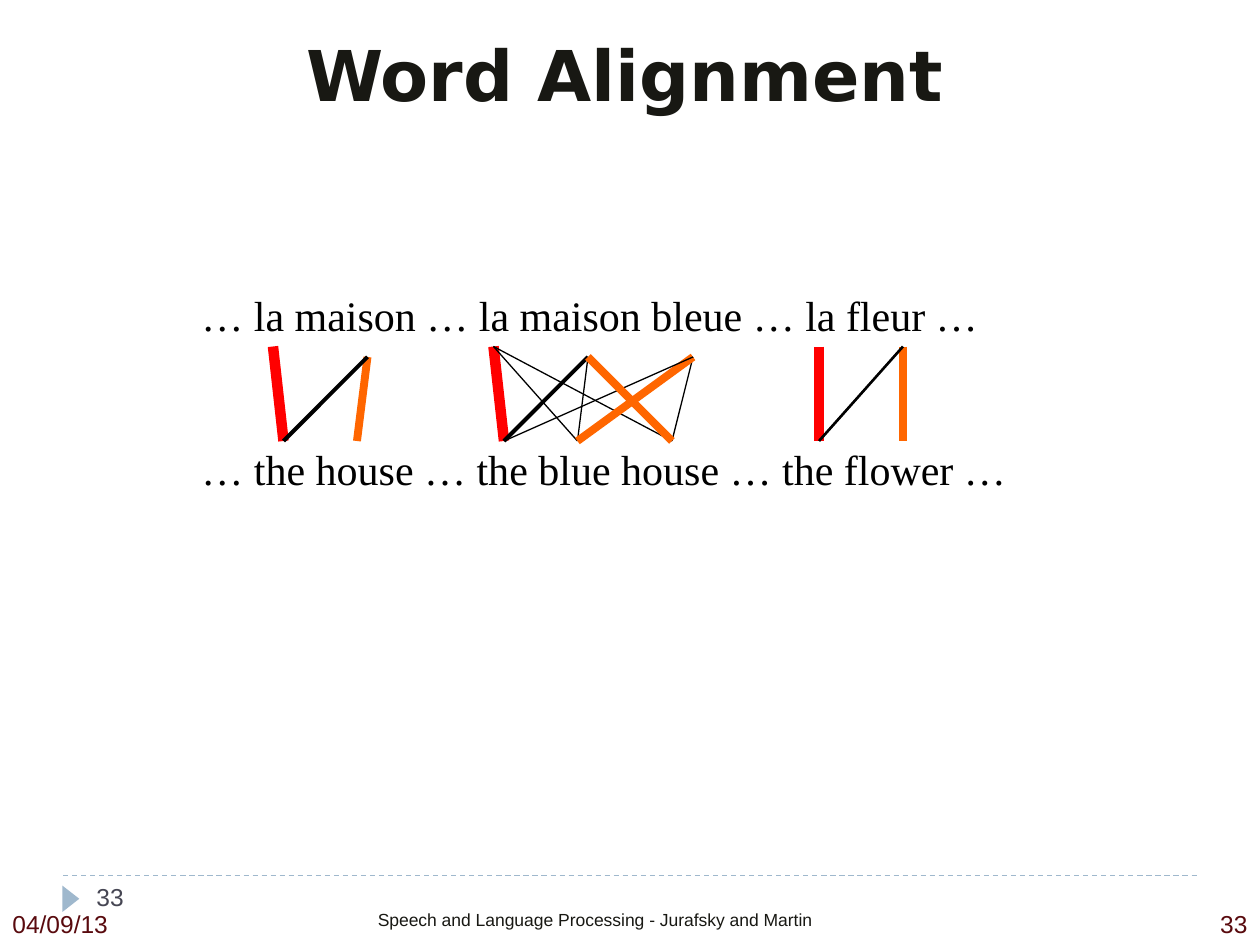
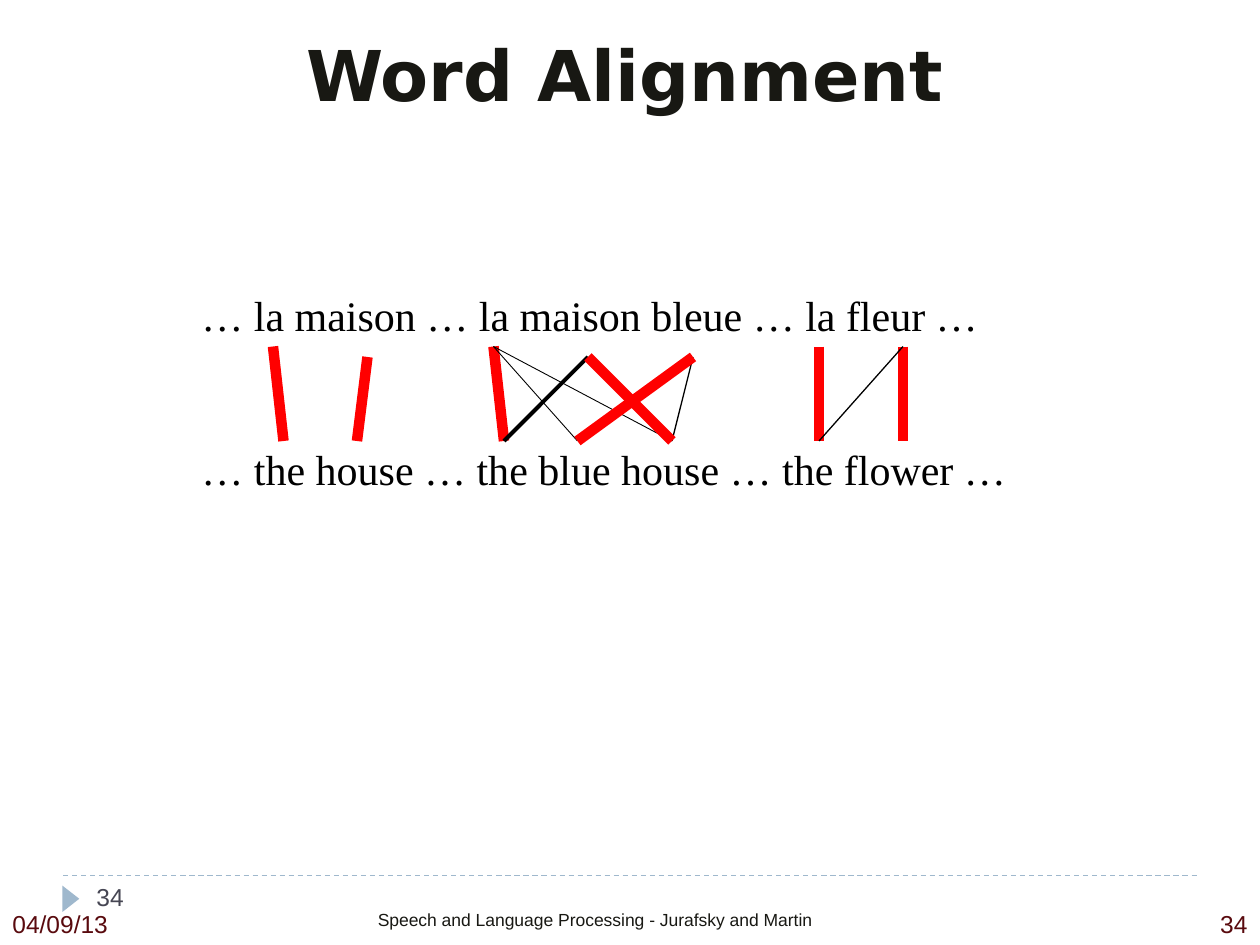
"""Build two slides that show how word alignment sharpens between French and English."""
from lxml import etree
from pptx import Presentation
from pptx import util as u
from pptx.dml import color
from pptx.enum import dml, shapes, text

PX = u.Inches(1) // 120
rgb = color.RGBColor.from_string
INK, MAROON, SLATE, STEEL = "181813", "590A0E", "464653", "9FB8CD"
RED, ORANGE, BLACK = "FF0000", "FF6600", "000000"

FRENCH = {"la 1": (260, 330), "maison 1": (350, 340),
          "la 2": (470, 330), "maison 2": (560, 340), "bleue": (660, 340),
          "la 3": (780, 330), "fleur": (860, 330)}
ENGLISH = {"the 1": 270, "house 1": 340, "the 2": 480, "blue": 550,
           "house 2": 640, "the 3": 780, "flower": 860}
ENGLISH_TOP = 420
SENTENCES = ["… la maison … la maison bleue … la fleur …",
             "… the house … the blue house … the flower …"]

ALIGNMENTS = {
    33: [("la 1", "the 1", RED, 6), ("maison 1", "house 1", ORANGE, 4.5),
         ("maison 1", "the 1", BLACK, 2.25), ("la 3", "the 3", RED, 6),
         ("fleur", "flower", ORANGE, 4.5), ("fleur", "the 3", BLACK, 1.5),
         ("la 2", "the 2", RED, 6), ("la 2", "blue", BLACK, 0.75),
         ("maison 2", "blue", BLACK, 0.75), ("maison 2", "the 2", BLACK, 2.25),
         ("la 2", "house 2", BLACK, 0.75), ("bleue", "house 2", BLACK, 0.75),
         ("bleue", "blue", ORANGE, 4.5), ("bleue", "the 2", BLACK, 0.75),
         ("maison 2", "house 2", ORANGE, 4.5)],
    34: [("la 1", "the 1", RED, 6), ("maison 1", "house 1", RED, 6),
         ("la 3", "the 3", RED, 6), ("fleur", "flower", RED, 6),
         ("fleur", "the 3", BLACK, 0.75), ("la 2", "the 2", RED, 6),
         ("la 2", "blue", BLACK, 0.5), ("maison 2", "the 2", BLACK, 2.25),
         ("la 2", "house 2", BLACK, 0.5), ("bleue", "house 2", BLACK, 0.75),
         ("bleue", "blue", RED, 6), ("maison 2", "house 2", RED, 6)],
}


def draw_line(page, start, end, hue, width):
    """Draw a straight line between two points and return it."""
    line = page.shapes.add_connector(
        shapes.MSO_CONNECTOR.STRAIGHT, *(n * PX for n in (*start, *end)))
    line.line.color.rgb = rgb(hue)
    line.line.width = u.Pt(width)
    etree.SubElement(line._element.spPr,
                     "{http://schemas.openxmlformats.org/drawingml/2006/main}effectLst")
    return line


def write(box, place, lines, font, size, hue, align=text.PP_ALIGN.LEFT):
    """Move a box, fill it with paragraphs and return its text frame."""
    box.left, box.top, box.width, box.height = (n * PX for n in place)
    frame = box.text_frame
    frame.word_wrap = True
    frame.auto_size = text.MSO_AUTO_SIZE.NONE
    frame.text = "\n".join(lines)
    for para in frame.paragraphs:
        para.alignment = align
        para.font.name = font
        para.font.size = u.Pt(size)
        para.font.color.rgb = rgb(hue)
    return frame


deck = Presentation()
deck.slide_width, deck.slide_height = u.Inches(10), u.Inches(7.5)

for number, links in ALIGNMENTS.items():
    page = deck.slides.add_slide(deck.slide_layouts[5])

    divider = draw_line(page, (60, 834), (1140, 834), STEEL, 0.75)
    divider.line.dash_style = dml.MSO_LINE.DASH
    marker = page.shapes.add_shape(
        shapes.MSO_SHAPE.ISOSCELES_TRIANGLE, *(n * PX for n in (55, 848, 25, 16)))
    marker.rotation = 90
    marker.shadow.inherit = False
    marker.fill.solid()
    marker.fill.fore_color.rgb = rgb(STEEL)
    marker.line.fill.background()

    title = write(page.shapes.title, (10, 0, 1170, 140), ["Word Alignment"],
                  "DejaVu Sans", 40, INK, text.PP_ALIGN.CENTER)
    title.vertical_anchor = text.MSO_ANCHOR.MIDDLE
    title.paragraphs[0].font.bold = True

    for place, words, size, hue, align in [
        ((0, 860, 160, 40), "04/09/13", 14, MAROON, text.PP_ALIGN.LEFT),
        ((348, 860, 792, 40), "Speech and Language Processing - Jurafsky and Martin",
         10, INK, text.PP_ALIGN.LEFT),
        ((1140, 860, 60, 40), str(number), 14, MAROON, text.PP_ALIGN.RIGHT),
        ((80, 834, 260, 48), str(number), 14, SLATE, text.PP_ALIGN.LEFT),
    ]:
        write(page.shapes.add_textbox(0, 0, 0, 0), place, [words], "Arial", size, hue, align)

    sentences = write(page.shapes.add_textbox(0, 0, 0, 0), (180, 270, 791, 204),
                      SENTENCES, "Times New Roman", 24, BLACK)
    sentences.word_wrap = False
    sentences.paragraphs[1].space_before = u.Pt(59)

    for french, english, hue, width in links:
        draw_line(page, FRENCH[french], (ENGLISH[english], ENGLISH_TOP), hue, width)

deck.save("out.pptx")
